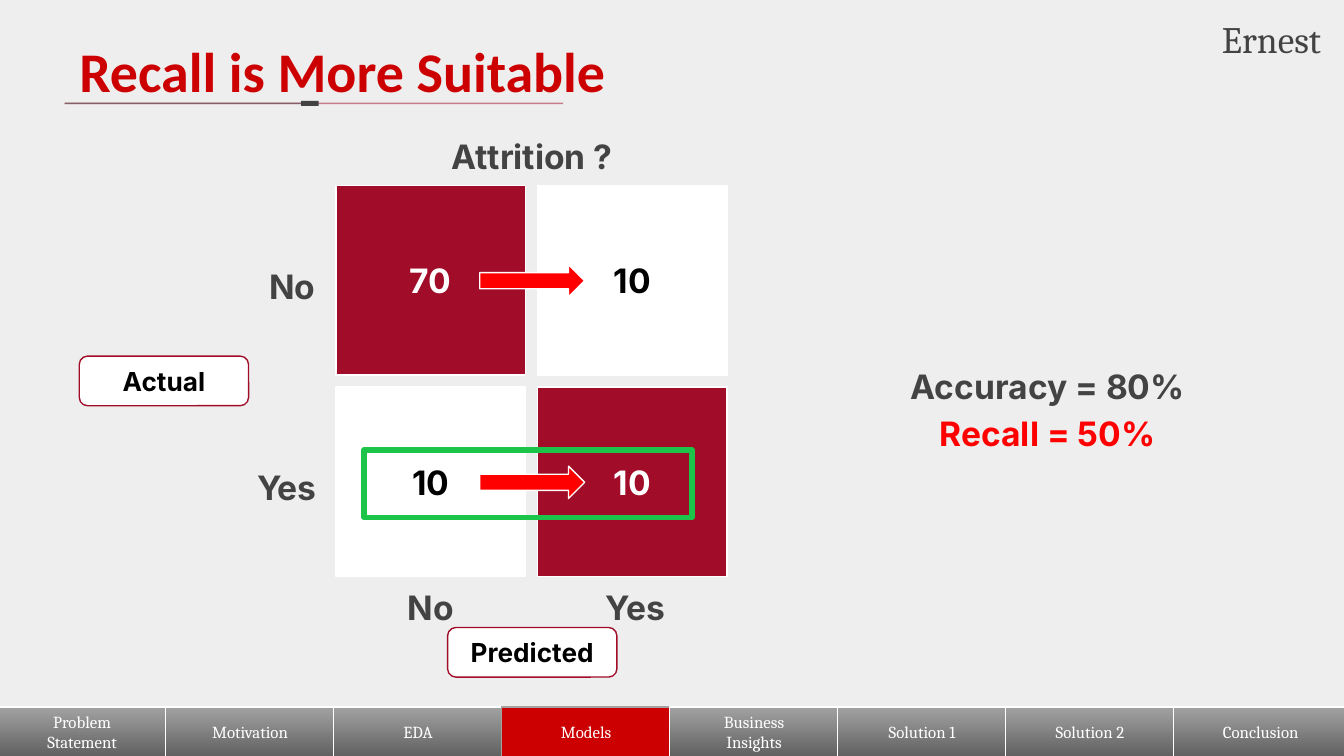
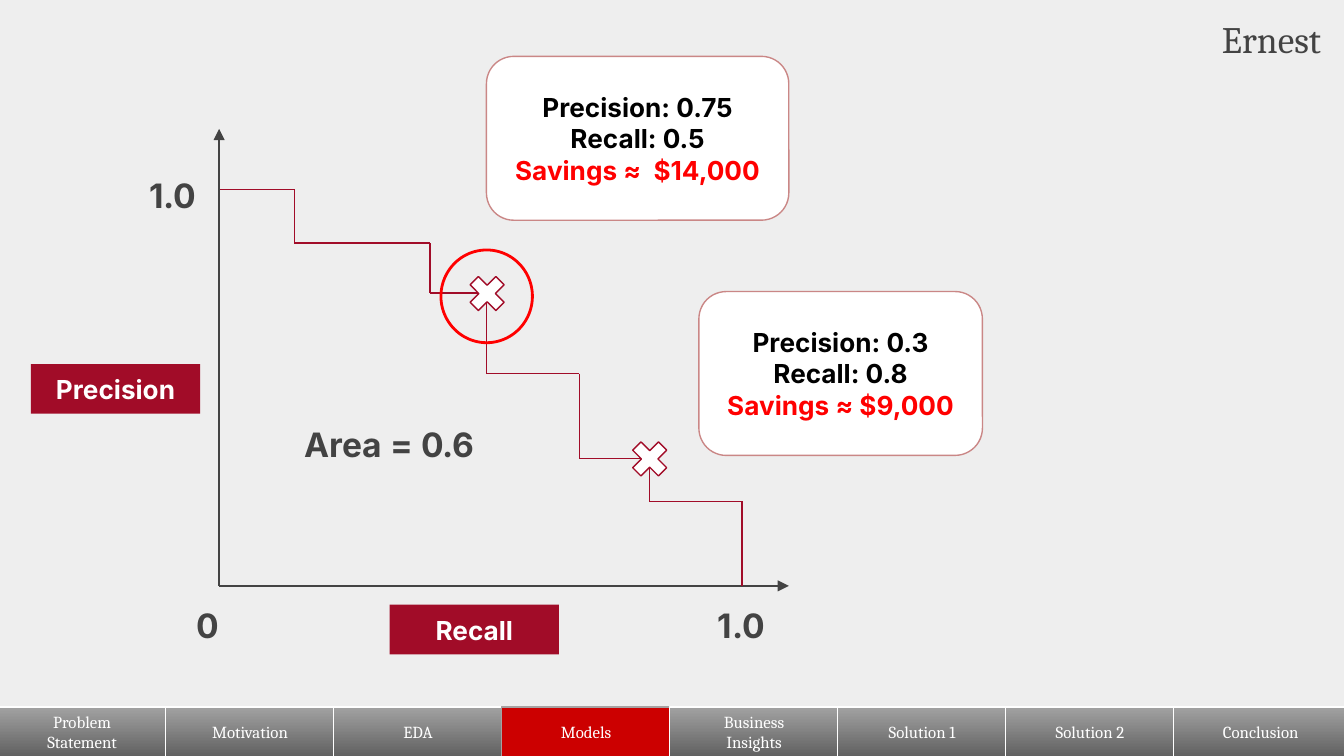
from itertools import pairwise

from lxml import etree
from pptx import Presentation
from pptx.dml.color import RGBColor
from pptx.enum.shapes import MSO_CONNECTOR, MSO_SHAPE
from pptx.enum.text import MSO_ANCHOR, MSO_AUTO_SIZE, PP_ALIGN
from pptx.oxml.ns import qn
from pptx.util import Pt

RECT = MSO_SHAPE.RECTANGLE
ROUND = MSO_SHAPE.ROUNDED_RECTANGLE
SNIP = MSO_SHAPE.SNIP_1_RECTANGLE
ARROW = MSO_SHAPE.RIGHT_ARROW
CROSS = MSO_SHAPE.MATH_MULTIPLY
OVAL = MSO_SHAPE.OVAL
STRAIGHT = MSO_CONNECTOR.STRAIGHT
LEFT, CENTER, RIGHT = PP_ALIGN.LEFT, PP_ALIGN.CENTER, PP_ALIGN.RIGHT
TOP, MIDDLE = MSO_ANCHOR.TOP, MSO_ANCHOR.MIDDLE
GROW, FIXED = MSO_AUTO_SIZE.SHAPE_TO_FIT_TEXT, MSO_AUTO_SIZE.NONE
TITLE_ONLY, BLANK = 5, 6

COLORS = {
    "page": "EEEEEE",
    "white": "FFFFFF",
    "black": "000000",
    "ink": "434343",
    "title": "CC0000",
    "wine": "A10C28",
    "rose": "CA8786",
    "red": "FF0000",
    "green": "1CC549",
    "tab_top": "A2A2A2",
    "tab_bottom": "616161",
    "tab_edge": "A6A1A1",
}
SECTIONS = ["Problem\nStatement", "Motivation", "EDA", "Models",
            "Business\nInsights", "Solution 1", "Solution 2", "Conclusion"]
TAB_PITCH = 90
WIDE = (7.2, 7.2, 7.2, 7.2)
SLIM = (5.04, 2.88, 5.04, 2.88)


def rgb(name):
    return RGBColor.from_string(COLORS[name])


class Deck:
    """Holds the presentation, its style and the current slide."""

    def __init__(self):
        self.prs = Presentation()
        self.prs.slide_width, self.prs.slide_height = Pt(720), Pt(405)
        self.s = None

    def new_slide(self, presenter, section, title=None):
        layout = TITLE_ONLY if title else BLANK
        self.s = self.prs.slides.add_slide(self.prs.slide_layouts[layout])
        bg = self.s.background.fill
        bg.solid()
        bg.fore_color.rgb = rgb("page")
        self.nav_bar(section)
        if title:
            self.title(title)
        self.text(611.3, 5.8, 101.5, 29.5, [(presenter, "ink")], size=20,
                  font="Cambria", align=RIGHT, inset=SLIM, spacing=None)

    def nav_bar(self, current):
        for i, section in enumerate(SECTIONS):
            active = section == current
            width = 93.6 if i == len(SECTIONS) - 1 else 90.7
            sp = self.shape(SNIP, i * TAB_PITCH - 1.4, 378.7, width, 26.6,
                            "title", "tab_edge" if active else "white")
            sp.adjustments[0] = 0
            if not active:
                sp.fill.gradient()
                sp.fill.gradient_angle = 270
                for stop, name in zip(sp.fill.gradient_stops,
                                      ("tab_top", "tab_bottom")):
                    stop.color.rgb = rgb(name)
            lines = [(line, "white") for line in section.split("\n")]
            self.add_lines(sp.text_frame, lines, 9, "Cambria", bold=False,
                           inset=SLIM)

    def title(self, text):
        sp = self.s.shapes.title
        sp.left, sp.top, sp.width, sp.height = Pt(35.3), Pt(12.2), Pt(607), Pt(45.4)
        sp.text_frame.auto_size = FIXED
        self.add_lines(sp.text_frame, [(text, "title")], 30, "Calibri",
                       align=LEFT, anchor=TOP)
        self.line(34.6, 55.4, 301.7, 55.4, "wine", alpha=50)
        rule = self.line(34.6, 55.4, 161.3, 55.4, "ink", alpha=50)
        bar = self.shape(RECT, 161.3, 54, 9.4, 2.8, "ink")
        rule.end_connect(bar, 1)

    def add_lines(self, tf, lines, size, font="Inter", bold=True, align=CENTER,
                  anchor=MIDDLE, inset=WIDE, spacing=None):
        """Fill a text frame with one paragraph per (text, colour) pair."""
        tf.word_wrap = True
        tf.vertical_anchor = anchor
        (tf.margin_left, tf.margin_top,
         tf.margin_right, tf.margin_bottom) = map(Pt, inset)
        for i, (text, color) in enumerate(lines):
            p = tf.add_paragraph() if i else tf.paragraphs[0]
            p.alignment = align
            if spacing:
                p.line_spacing = spacing
            r = p.add_run()
            r.text = text
            r.font.name, r.font.size, r.font.bold = font, Pt(size), bold
            r.font.color.rgb = rgb(color)

    def text(self, x, y, w, h, lines, size=18, font="Inter", align=CENTER,
             inset=WIDE, spacing=1.15):
        sp = self.s.shapes.add_textbox(Pt(x), Pt(y), Pt(w), Pt(h))
        self.add_lines(sp.text_frame, lines, size, font, font == "Inter",
                       align, TOP, inset, spacing)
        sp.text_frame.auto_size = GROW

    def label(self, x, y, w, text, h=36):
        self.text(x, y, w, h, [(text, "ink")])

    def shape(self, kind, x, y, w, h, fill=None, line=None, weight=0.75):
        sp = self.s.shapes.add_shape(kind, Pt(x), Pt(y), Pt(w), Pt(h))
        sp.shadow.inherit = False
        if fill:
            sp.fill.solid()
            sp.fill.fore_color.rgb = rgb(fill)
        else:
            sp.fill.background()
        if line:
            sp.line.color.rgb = rgb(line)
            sp.line.width = Pt(weight)
        else:
            sp.line.fill.background()
        return sp

    def box(self, kind, x, y, w, h, lines, fill, line=None, size=14):
        sp = self.shape(kind, x, y, w, h, fill, line)
        self.add_lines(sp.text_frame, lines, size)

    def line(self, x1, y1, x2, y2, color, alpha=None, arrow=False):
        c = self.s.shapes.add_connector(STRAIGHT, Pt(x1), Pt(y1), Pt(x2), Pt(y2))
        c.line.color.rgb = rgb(color)
        c.line.width = Pt(0.75)
        props = c.element.spPr
        ln = props.find(qn("a:ln"))
        if alpha:
            clr = ln.find(".//" + qn("a:srgbClr"))
            etree.SubElement(clr, qn("a:alpha"), val=str(alpha * 1000))
        if arrow:
            etree.SubElement(ln, qn("a:tailEnd"), type="triangle")
        etree.SubElement(props, qn("a:effectLst"))
        return c


def recall_slide(deck):
    deck.new_slide("Ernest", "Models", "Recall is More Suitable")

    matrix = [["70", "10"], ["10", "10"]]
    for row, values in enumerate(matrix):
        for col, value in enumerate(values):
            fill, ink = ("wine", "white") if row == col else ("white", "black")
            deck.box(RECT, 180 + 108 * col, 99.4 + 108 * row, 101.5, 101.5,
                     [(value, ink)], fill, "white", size=18)

    for x, y, axis in [(42.5, 190.8, "Actual"), (239.8, 336.2, "Predicted")]:
        deck.box(ROUND, x, y, 90.7, 26.6, [(axis, "black")], "white", "wine")

    deck.label(314.6, 303.8, 51.8, "Yes", 39.6)
    deck.label(207.4, 303.8, 46.8, "No")
    deck.label(127.4, 239.8, 52.6, "Yes", 39.6)
    deck.label(133.2, 131.8, 46.8, "No")
    deck.label(218.2, 62.6, 133.9, "Attrition ?")
    deck.text(434.2, 185.8, 254.2, 61.2,
              [("Accuracy = 80%", "ink"), ("Recall = 50%", "red")])

    deck.shape(RECT, 195.1, 241.2, 175.7, 36, line="green", weight=3)
    for y in (249.8, 141.8):
        deck.shape(ARROW, 257, y, 56.2, 17.3, "red", "white")


def curve_slide(deck):
    deck.new_slide("Ernest", "Models")

    origin = (117.4, 313.9)
    deck.line(*origin, 422.6, 313.9, "ink", arrow=True)
    deck.line(*origin, 117.4, 69.1, "ink", arrow=True)
    deck.label(69.1, 83.5, 46.8, "1.0")
    deck.label(373.7, 313.9, 46.8, "1.0")
    deck.label(87.8, 313.9, 46.8, "0")
    deck.label(151.9, 216.7, 113.8, "Area = 0.6")

    # Each step runs right to x, then drops to the next level.
    steps = [(157.7, 101.5), (230.4, 130.3), (260.8, 157), (310.3, 200.2),
             (347.8, 245.5), (397.6, 268.6)]
    corners = [(118.1, 101.5)]
    levels = [y for _, y in steps[1:]] + [origin[1]]
    for (x, y), below in zip(steps, levels):
        corners += [(x, y), (x, below)]
    for start, end in pairwise(corners):
        deck.line(*start, *end, "wine")

    callouts = [
        (334.8, 232.6, 374.4, 156.2, 151.9, "0.3", "0.8", "Savings ≈ $9,000"),
        (247.7, 144, 260.6, 30.2, 162, "0.75", "0.5", "Savings ≈  $14,000"),
    ]
    for mark_x, mark_y, x, y, w, precision, recall, savings in callouts:
        deck.shape(CROSS, mark_x, mark_y, 26.6, 26.6, "white", "wine")
        deck.box(ROUND, x, y, w, 87.8,
                 [(f"Precision: {precision}", "black"),
                  (f"Recall: {recall}", "black"), (savings, "red")],
                 "white", "rose")

    for x, y, axis in [(16.6, 195.1, "Precision"), (208.8, 324, "Recall")]:
        deck.box(RECT, x, y, 90.7, 26.6, [(axis, "white")], "wine")
    deck.shape(OVAL, 236.2, 133.9, 49, 49.7, line="red", weight=1.5)


def main():
    deck = Deck()
    recall_slide(deck)
    curve_slide(deck)
    deck.prs.save("out.pptx")


if __name__ == "__main__":
    main()
